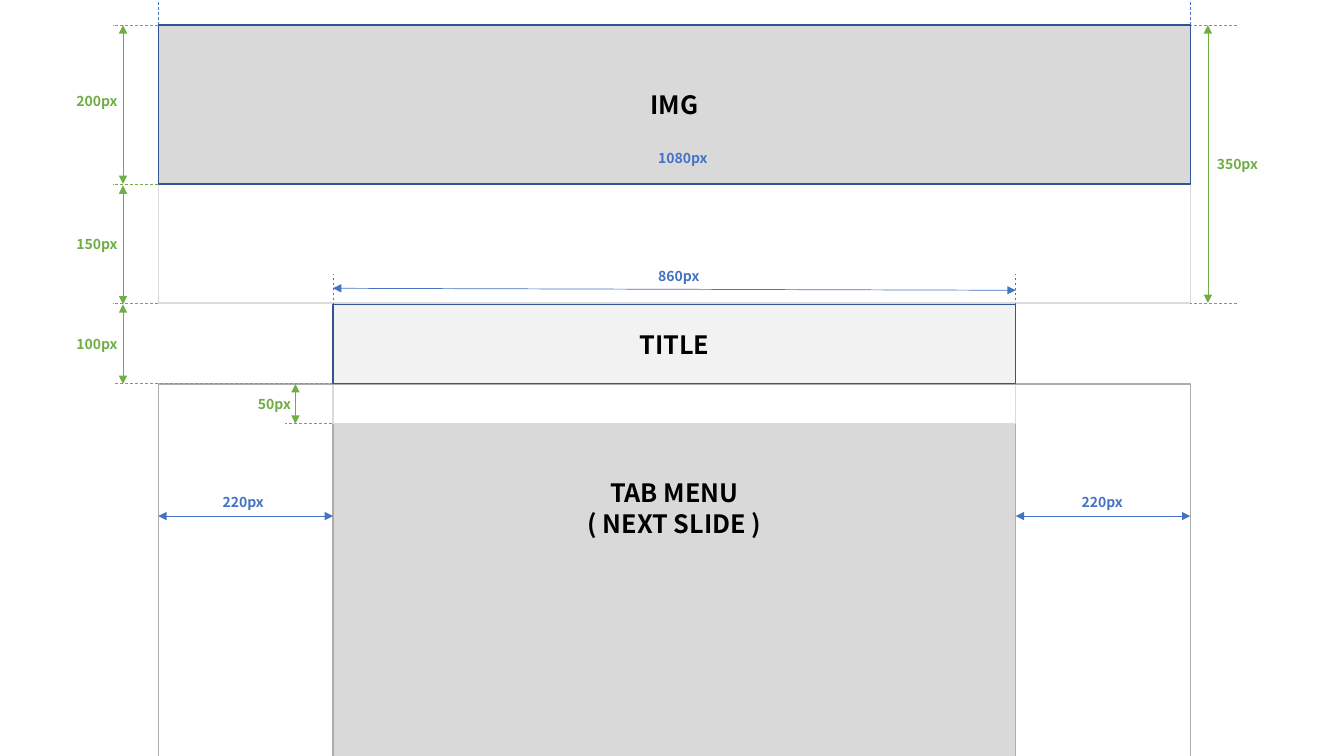
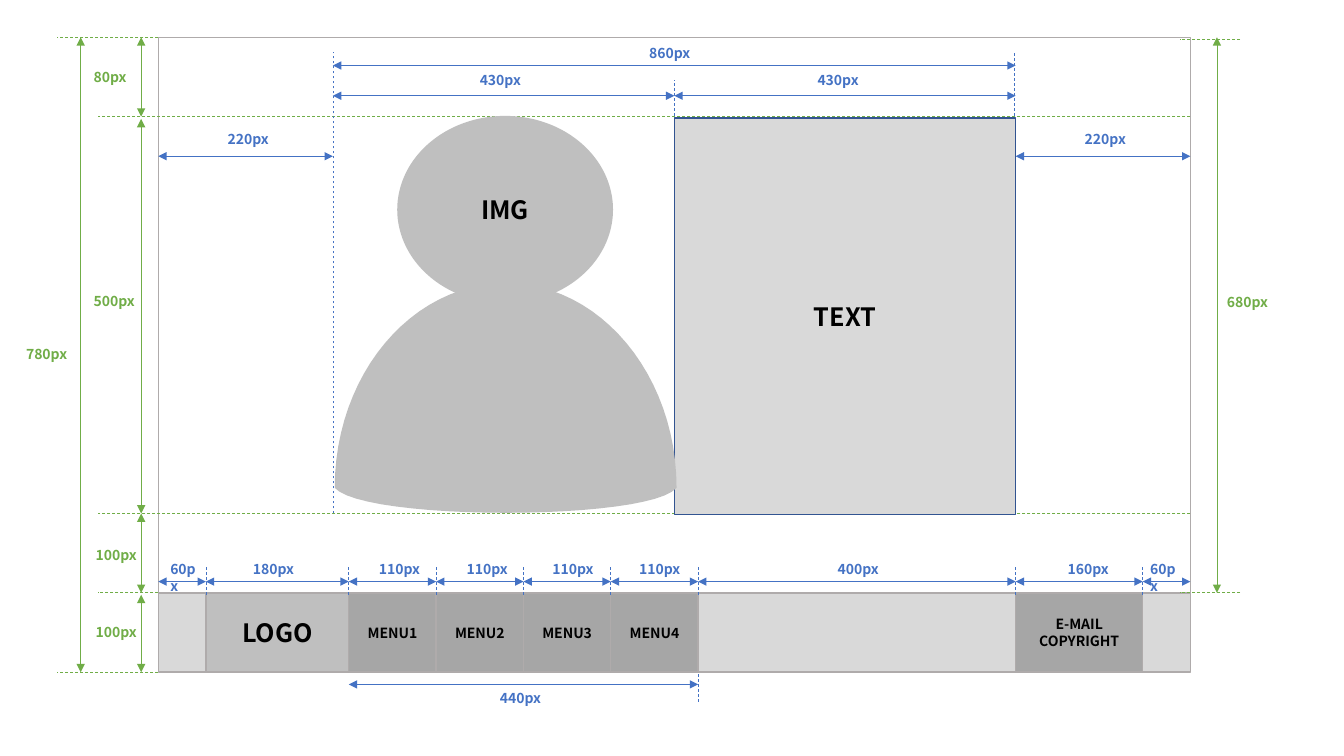
from itertools import accumulate

from lxml import etree
from pptx import Presentation
from pptx.dml.color import RGBColor
from pptx.enum import dml, shapes, text
from pptx.oxml import ns
from pptx.util import Inches, Pt

# Shared look
FONT = "Noto Sans CJK KR"
COLORS = {
    "black": "000000", "white": "FFFFFF", "blue": "4472C4", "navy": "325491",
    "green": "70AD47", "edge": "AFABAB", "pale_edge": "DBDBDB",
    "pale": "F2F2F2", "light": "D9D9D9", "mid": "BFBFBF", "dark": "A6A6A6",
}
RECTANGLE = shapes.MSO_SHAPE.RECTANGLE
OVAL = shapes.MSO_SHAPE.OVAL


def px(count):
    """Length in inches of web pixels at the scale of the wireframe."""
    return count / 127


# Shared columns: a 1300px page holding 860px of content
PAGE_LEFT, PAGE_WIDTH = 1.57, px(1300)
PAGE_RIGHT = PAGE_LEFT + PAGE_WIDTH
LEFT, WIDTH = PAGE_LEFT + px(220), px(860)
RIGHT = LEFT + WIDTH
MIDDLE = LEFT + WIDTH / 2

# Slide 1 rows
IMG_TOP = 0.25
IMG_BOTTOM = IMG_TOP + px(200)
TITLE_TOP = IMG_BOTTOM + px(150)
TAB_TOP = 3.81
TAB_GAP = TAB_TOP + px(50)

# Slide 2 rows
PAGE_TOP = 0.37
BODY_TOP = PAGE_TOP + px(100)
BODY_BOTTOM = BODY_TOP + px(500)
FOOT_TOP = BODY_BOTTOM + px(100)
FOOT_BOTTOM = FOOT_TOP + px(100)

# Footer cells: width in px, label left, fill, text, text size
FOOTER = [
    (60, 1.59, None, "", 10),
    (180, 2.41, "mid", "LOGO", 18),
    (110, 3.66, "dark", "MENU1", 10),
    (110, 4.53, "dark", "MENU2", 10),
    (110, 5.38, "dark", "MENU3", 10),
    (110, 6.24, "dark", "MENU4", 10),
    (400, 8.21, None, "", 10),
    (160, 10.49, "dark", "E-MAIL\nCOPYRIGHT", 10),
    (60, 11.31, None, "", 10),
]
EDGES = [PAGE_LEFT + px(n) for n in accumulate([cell[0] for cell in FOOTER], initial=0)]
MENU_LEFT, MENU_RIGHT = EDGES[2], EDGES[6]

# Boxes: left, top, width, height, fill, line, text
# Guides: colour, x1, y1, x2, y2
# Measures: colour, x1, y1, x2, y2, label, label left, label top
OVERVIEW = {
    "back": [
        (LEFT, TAB_TOP, WIDTH, px(850), "light", "edge", "TAB MENU\n( NEXT SLIDE )"),
        (LEFT, TAB_TOP, WIDTH, px(50), "white", "pale_edge", ""),
        (PAGE_LEFT, IMG_BOTTOM, PAGE_WIDTH, px(150), "white", "pale_edge", ""),
        (PAGE_LEFT, TAB_TOP, PAGE_WIDTH, 7.49, None, "edge", ""),
    ],
    "guides": [
        *[("blue", x, IMG_TOP, x, -0.43) for x in (PAGE_LEFT, PAGE_RIGHT)],
        *[("blue", x, 3.08, x, 2.72) for x in (LEFT, RIGHT)],
        *[("green", PAGE_LEFT, y, 1.12, y) for y in (IMG_TOP, IMG_BOTTOM, TITLE_TOP)],
        *[("green", 12.27, y, PAGE_RIGHT, y) for y in (IMG_TOP, TITLE_TOP)],
        ("green", LEFT, 3.8, 1.12, 3.8),
        ("green", 3.29, TAB_GAP, 2.83, TAB_GAP),
    ],
    "measures": [
        ("green", 1.22, IMG_TOP, 1.22, IMG_BOTTOM, "200px", 0.66, 0.87),
        ("green", 1.22, 1.84, 1.22, 3.02, "150px", 0.66, 2.29),
        ("green", 1.22, 3.02, 1.22, TAB_TOP, "100px", 0.66, 3.28),
        ("green", 2.93, TAB_TOP, 2.93, TAB_GAP, "50px", 2.46, 3.87),
        ("green", 11.98, IMG_TOP, 11.98, TITLE_TOP, "350px", 11.97, 1.49),
        ("blue", RIGHT, 2.88, LEFT, 2.86, "860px", 6.43, 2.6),
        ("blue", LEFT, 5.12, PAGE_LEFT, 5.12, "220px", 2.11, 4.85),
        ("blue", PAGE_RIGHT, 5.12, RIGHT, 5.12, "220px", 10.63, 4.85),
    ],
    "front": [
        (PAGE_LEFT, IMG_TOP, PAGE_WIDTH, px(200), "light", "navy", "IMG"),
        (LEFT, 3.02, WIDTH, px(100), "pale", "navy", "TITLE"),
    ],
}
TAB_PAGE = {
    "back": [
        (PAGE_LEFT, PAGE_TOP, PAGE_WIDTH, px(700), None, "edge", ""),
        (PAGE_LEFT, FOOT_TOP, PAGE_WIDTH, px(100), "light", "edge", ""),
        *[(left, FOOT_TOP, px(width), px(100), fill, "edge", words, size)
          for left, (width, _, fill, words, size) in zip(EDGES, FOOTER) if fill],
    ],
    "guides": [
        *[("green", PAGE_LEFT, y, 0.57, y) for y in (PAGE_TOP, FOOT_BOTTOM)],
        *[("green", PAGE_RIGHT, y, 0.97, y) for y in (BODY_TOP, BODY_BOTTOM)],
        ("green", PAGE_LEFT, FOOT_TOP, 0.97, FOOT_TOP),
        *[("green", 12.3, y, 11.7, y) for y in (0.39, FOOT_TOP)],
        *[("blue", x, 5.9, x, 5.61) for x in EDGES[1:-1]],
        ("blue", MENU_RIGHT, 6.96, MENU_RIGHT, FOOT_BOTTOM),
        ("blue", LEFT, BODY_BOTTOM, LEFT, 0.52),
        ("blue", MIDDLE, 1.25, MIDDLE, 0.79),
        ("blue", 10.06, 1.25, 10.06, 0.52),
    ],
    "measures": [
        ("green", 0.8, PAGE_TOP, 0.8, FOOT_BOTTOM, "780px", 0.16, 3.38),
        ("green", 1.4, PAGE_TOP, 1.4, BODY_TOP, "80px", 0.83, 0.63),
        ("green", 1.4, 1.18, 1.4, BODY_BOTTOM, "500px", 0.83, 2.85),
        ("green", 1.4, BODY_BOTTOM, 1.4, FOOT_TOP, "100px", 0.85, 5.37),
        ("green", 1.4, 5.9, 1.4, FOOT_BOTTOM, "100px", 0.85, 6.14),
        ("green", 12.07, PAGE_TOP, 12.07, FOOT_TOP, "680px", 12.07, 2.86),
        ("blue", RIGHT, 0.65, LEFT, 0.65, "860px", 6.34, 0.39),
        ("blue", MIDDLE, 0.95, LEFT, 0.95, "430px", 4.66, 0.66),
        ("blue", RIGHT, 0.95, MIDDLE, 0.95, "430px", 8.01, 0.66),
        ("blue", LEFT, 1.55, PAGE_LEFT, 1.55, "220px", 2.16, 1.25),
        ("blue", PAGE_RIGHT, 1.55, RIGHT, 1.55, "220px", 10.66, 1.25),
        ("blue", MENU_RIGHT, 6.79, MENU_LEFT, 6.79, "440px", 4.86, 6.79),
        *[("blue", right, 5.77, left, 5.77, f"{cell[0]}px", cell[1], 5.51)
          for left, right, cell in zip(EDGES, EDGES[1:], FOOTER)],
    ],
    "front": [
        (MIDDLE, 1.17, px(430), px(500), "light", "navy", "TEXT"),
    ],
}

# Shoulders of the figure: start point, then cubic curves
SHOULDERS_START = (3.32, 4.84)
SHOULDERS = [
    ((3.32, 3.72), (4.08, 2.81), (5.02, 2.81)),
    ((5.95, 2.81), (6.71, 3.72), (6.71, 4.84)),
    ((6.43, 5.17), (3.61, 5.17), (3.32, 4.84)),
]


def rgb(name):
    return RGBColor.from_string(COLORS[name])


def write(shape, words, size, color, alignment, anchor):
    frame = shape.text_frame
    frame.text = words
    frame.word_wrap = True
    frame.vertical_anchor = anchor
    for paragraph in frame.paragraphs:
        paragraph.alignment = alignment
        font_format = {"name": FONT, "size": Pt(size), "bold": True}
        for key, value in font_format.items():
            setattr(paragraph.font, key, value)
            for run in paragraph.runs:
                setattr(run.font, key, value)
        for run in paragraph.runs:
            run.font.color.rgb = rgb(color)


def paint(shape, fill, line):
    shape.shadow.inherit = False
    if fill:
        shape.fill.solid()
        shape.fill.fore_color.rgb = rgb(fill)
    else:
        shape.fill.background()
    if line:
        shape.line.color.rgb = rgb(line)
        shape.line.width = Pt(1)
    else:
        shape.line.fill.background()


def add_box(slide, left, top, width, height, fill, line, words, size=18, kind=RECTANGLE):
    shape = slide.shapes.add_shape(kind, *map(Inches, (left, top, width, height)))
    paint(shape, fill, line)
    if words:
        write(shape, words, size, "black", text.PP_ALIGN.CENTER, text.MSO_ANCHOR.MIDDLE)
    return shape


def add_line(slide, color, x1, y1, x2, y2):
    line = slide.shapes.add_connector(
        shapes.MSO_CONNECTOR.STRAIGHT, *map(Inches, (x1, y1, x2, y2)))
    line.line.color.rgb = rgb(color)
    line.line.width = Pt(0.5)
    etree.SubElement(line._element.spPr, ns.qn("a:effectLst"))
    return line


def add_guide(slide, *guide):
    add_line(slide, *guide).line.dash_style = dml.MSO_LINE.DASH


def add_label(slide, color, words, left, top):
    width = 0.48 if words == "60px" else 0.72
    label = slide.shapes.add_textbox(*map(Inches, (left, top, width, 0.27)))
    write(label, words, 10, color, text.PP_ALIGN.LEFT, text.MSO_ANCHOR.TOP)


def add_measure(slide, color, x1, y1, x2, y2, *label):
    line = add_line(slide, color, x1, y1, x2, y2)
    outline = line.line._get_or_add_ln()
    for end in ("a:headEnd", "a:tailEnd"):
        etree.SubElement(outline, ns.qn(end), type="triangle")
    add_label(slide, color, *label)


def curve_points(start, curves, steps=24):
    for first, second, end in curves:
        for step in range(1, steps + 1):
            t = step / steps
            weights = ((1 - t) ** 3, 3 * t * (1 - t) ** 2, 3 * t * t * (1 - t), t ** 3)
            corners = (start, first, second, end)
            yield tuple(Inches(sum(w * corner[axis] for w, corner in zip(weights, corners)))
                        for axis in (0, 1))
        start = end


def add_figure(slide):
    add_box(slide, 3.94, 1.15, 2.14, 1.86, "mid", None, "IMG", kind=OVAL)
    builder = slide.shapes.build_freeform(*map(Inches, SHOULDERS_START))
    builder.add_line_segments(list(curve_points(SHOULDERS_START, SHOULDERS)), close=True)
    paint(builder.convert_to_shape(), "mid", None)


def add_wireframe(presentation, parts):
    slide = presentation.slides.add_slide(presentation.slide_layouts[6])
    back = [add_box(slide, *box) for box in parts["back"]]
    for guide in parts["guides"]:
        add_guide(slide, *guide)
    for measure in parts["measures"]:
        add_measure(slide, *measure)
    for box in parts["front"]:
        add_box(slide, *box)
    return slide, back


def main():
    presentation = Presentation()
    presentation.slide_width, presentation.slide_height = Inches(13.33), Inches(7.5)

    # Slide 1: page overview, its tab text set near the top of the box
    overview, back = add_wireframe(presentation, OVERVIEW)
    tab_frame = back[0].text_frame
    tab_frame.vertical_anchor = text.MSO_ANCHOR.TOP
    tab_frame.margin_top = Inches(0.93)
    add_label(overview, "blue", "1080px", 6.43, 1.43)

    # Slide 2: tab page with figure, text and footer
    tab_page, _ = add_wireframe(presentation, TAB_PAGE)
    add_figure(tab_page)

    presentation.save("out.pptx")


if __name__ == "__main__":
    main()
